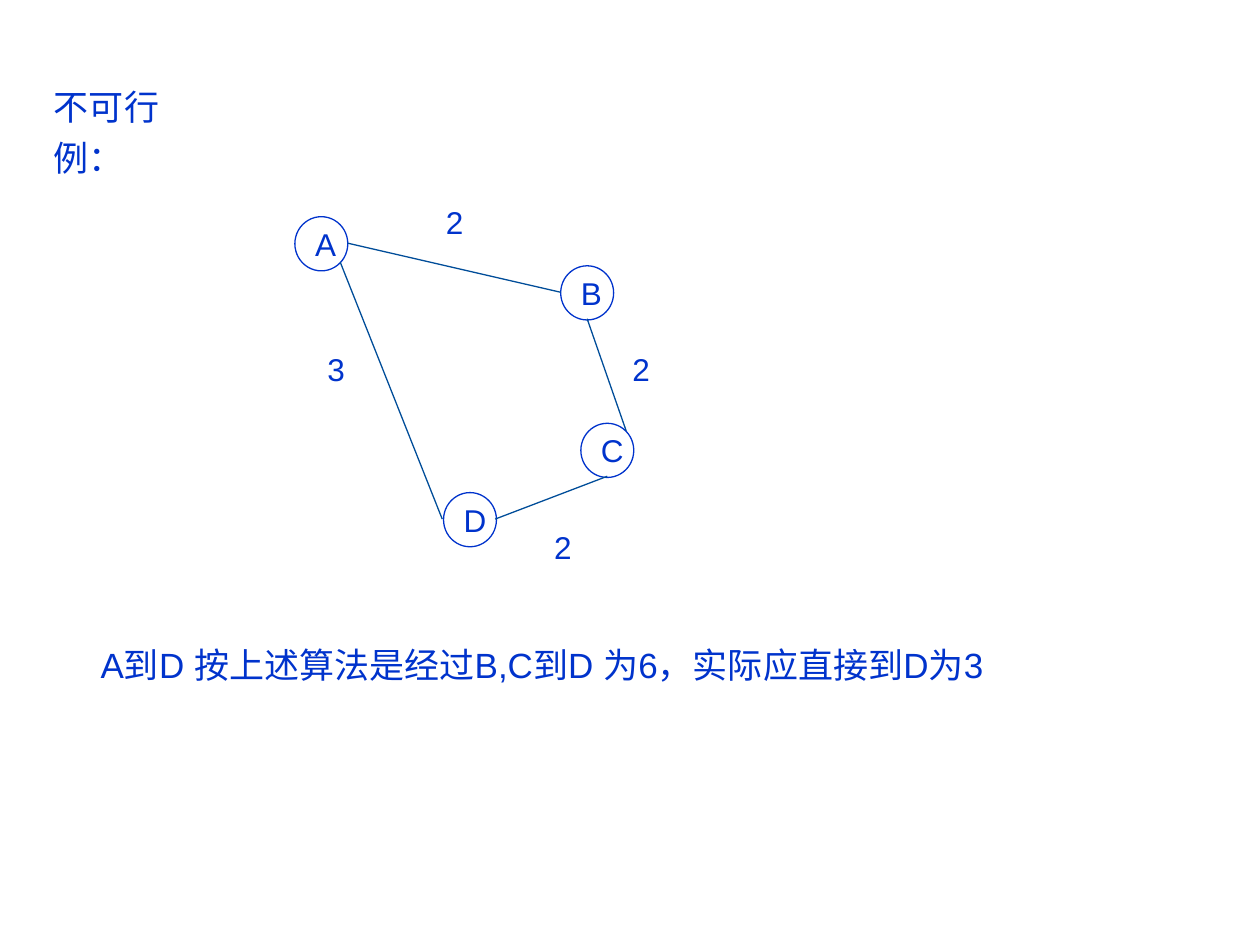
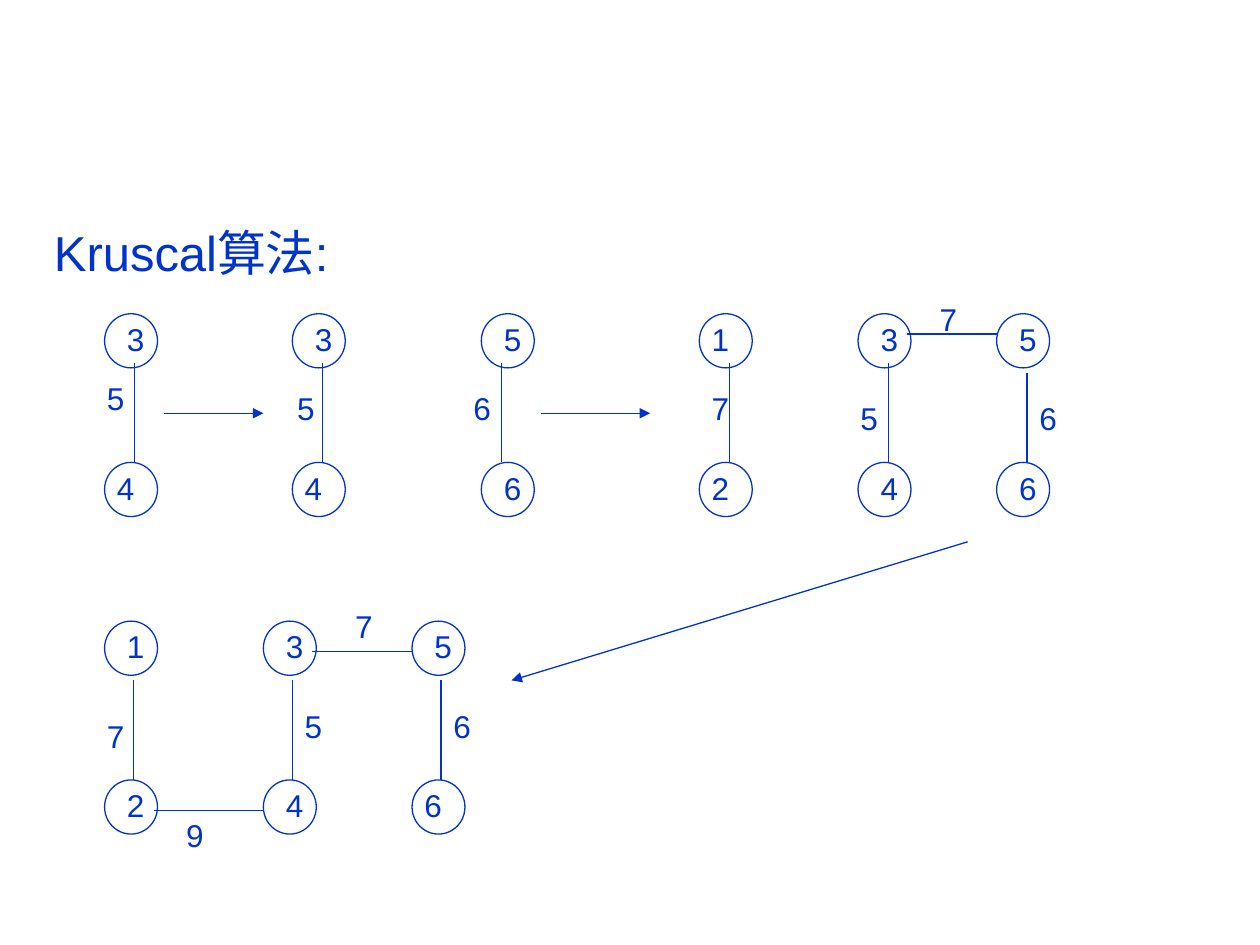
from pptx import Presentation
from pptx.dml.color import RGBColor
from pptx.enum import shapes, text
from pptx.oxml.ns import qn
from pptx.util import Inches, Pt
from lxml import etree

# Shared style
HEX = {"ink": "0033CC", "edge": "004D99"}
FONT = "Arial"
NODE = (0.42, 0.43)
TAG = (0.4, 0.4)

# Slide 1: weighted graph (places in inches)
HEAD = ["不可行", "例："]
NOTE = "A到D 按上述算法是经过B,C到D 为6，实际应直接到D为3"
NODES = {"A": (2.34, 1.72), "D": (3.52, 3.91), "C": (4.61, 3.36), "B": (4.45, 2.11)}
EDGES = [
    ((2.76, 1.93), (4.45, 2.32)),
    ((4.66, 2.53), (4.97, 3.42)),
    ((3.93, 4.12), (4.82, 3.78)),
    ((2.70, 2.08), (3.51, 4.12)),
]
COSTS = [("2", 3.44, 1.56), ("2", 4.92, 2.73), ("2", 4.30, 4.14), ("3", 2.50, 2.73)]

# Slide 2: each row has a top, a drop to the lower nodes, and its pairs:
# left, labels, label shifts, edge shift, edge start, weight, weight shift
TITLE = "Kruscal算法:"
ROWS = [
    (2.49, 1.18, [
        (0.83, "34", (0.08, 0), 0.24, 0.39, "5", (-0.08, 0.47)),
        (2.32, "34", (0.08, 0), 0.24, 0.39, "5", (-0.06, 0.55)),
        (3.82, "56", (0.08, 0.08), 0.16, 0.39, "6", (-0.16, 0.55)),
        (5.55, "12", (0, 0), 0.24, 0.39, "7", (0, 0.55)),
        (6.81, "34", (0.08, 0.08), 0.24, 0.39, "5", (-0.08, 0.63)),
        (7.91, "56", (0.08, 0.08), 0.24, 0.47, "6", (0.24, 0.63)),
    ]),
    (4.93, 1.26, [
        (0.83, "12", (0.08, 0.08), 0.23, 0.47, "7", (-0.08, 0.71)),
        (2.09, "34", (0.08, 0.08), 0.23, 0.47, "5", (0.23, 0.63)),
        (3.27, "56", (0.08, 0), 0.23, 0.47, "6", (0.23, 0.63)),
    ]),
]
# Level edges: start, end, height, weight, weight place
LINKS = [
    (7.20, 7.91, 2.65, "7", (7.36, 2.33)),
    (2.48, 3.27, 5.17, "7", (2.72, 4.77)),
    (1.22, 2.09, 6.43, "9", (1.38, 6.43)),
]
STEPS = [
    ((1.30, 3.28), (2.09, 3.28)),
    ((4.29, 3.28), (5.16, 3.28)),
    ((7.68, 4.30), (4.06, 5.40)),
]


def color(name):
    return RGBColor.from_string(HEX[name])


def write(frame, lines, size, gap=0):
    """Fill a frame with left-aligned lines, spaced by gap points."""
    for i, line in enumerate(lines):
        para = frame.add_paragraph() if i else frame.paragraphs[0]
        para.text = line
        para.alignment = text.PP_ALIGN.LEFT
        if i:
            para.space_before = Pt(gap)
        para.font.name = FONT
        para.font.size = Pt(size)
        para.font.color.rgb = color("ink")


def add_text(slide, lines, at, size, gap=0):
    box = slide.shapes.add_textbox(*map(Inches, at))
    box.text_frame.word_wrap = True
    write(box.text_frame, lines, size, gap)


def add_tag(slide, label, x, y):
    add_text(slide, [label], (x, y, *TAG), 18)


def add_node(slide, x, y, label=None):
    node = slide.shapes.add_shape(
        shapes.MSO_SHAPE.OVAL, *map(Inches, (x, y, *NODE)))
    node.shadow.inherit = False
    node.fill.background()
    node.line.color.rgb = color("ink")
    node.line.width = Pt(0.75)
    if label:
        node.text_frame.word_wrap = False
        node.text_frame.vertical_anchor = text.MSO_ANCHOR.MIDDLE
        write(node.text_frame, [label], 18)


def add_line(slide, start, end, name="ink", arrow=False):
    line = slide.shapes.add_connector(
        shapes.MSO_CONNECTOR.STRAIGHT, *map(Inches, (*start, *end)))
    line.line.color.rgb = color(name)
    line.line.width = Pt(0.75)
    if arrow:
        etree.SubElement(line.line._get_or_add_ln(), qn("a:tailEnd"), type="triangle")
    etree.SubElement(line._element.spPr, qn("a:effectLst"))


def add_pair(slide, top, drop, pair):
    """Two stacked nodes joined by a weighted edge."""
    x, labels, shifts, dx, dy, cost, (cx, cy) = pair
    for i, (label, shift) in enumerate(zip(labels, shifts)):
        y = top + i * drop
        add_node(slide, x, y)
        add_tag(slide, label, x + shift, y)
    add_line(slide, (x + dx, top + dy), (x + dx, top + drop))
    add_tag(slide, cost, x + cx, top + cy)


def draw_graph(slide):
    add_text(slide, HEAD, (0.33, 0.63, 9.34, 0.9), 20, 5)
    add_text(slide, [NOTE], (0.7, 5.06, 8.97, 0.45), 20)
    for label, (x, y) in NODES.items():
        add_node(slide, x, y, label)
    for start, end in EDGES:
        add_line(slide, start, end, "edge")
    for cost in COSTS:
        add_tag(slide, *cost)


def draw_steps(slide):
    add_text(slide, [TITLE], (0.33, 1.72, 9.34, 0.6), 28)
    for top, drop, pairs in ROWS:
        for pair in pairs:
            add_pair(slide, top, drop, pair)
    for left, right, y, cost, place in LINKS:
        add_line(slide, (left, y), (right, y))
        add_tag(slide, cost, *place)
    for start, end in STEPS:
        add_line(slide, start, end, arrow=True)


def main():
    deck = Presentation()
    deck.slide_width, deck.slide_height = Inches(10), Inches(7.5)
    for draw in (draw_graph, draw_steps):
        draw(deck.slides.add_slide(deck.slide_layouts[6]))
    deck.save("out.pptx")


if __name__ == "__main__":
    main()
